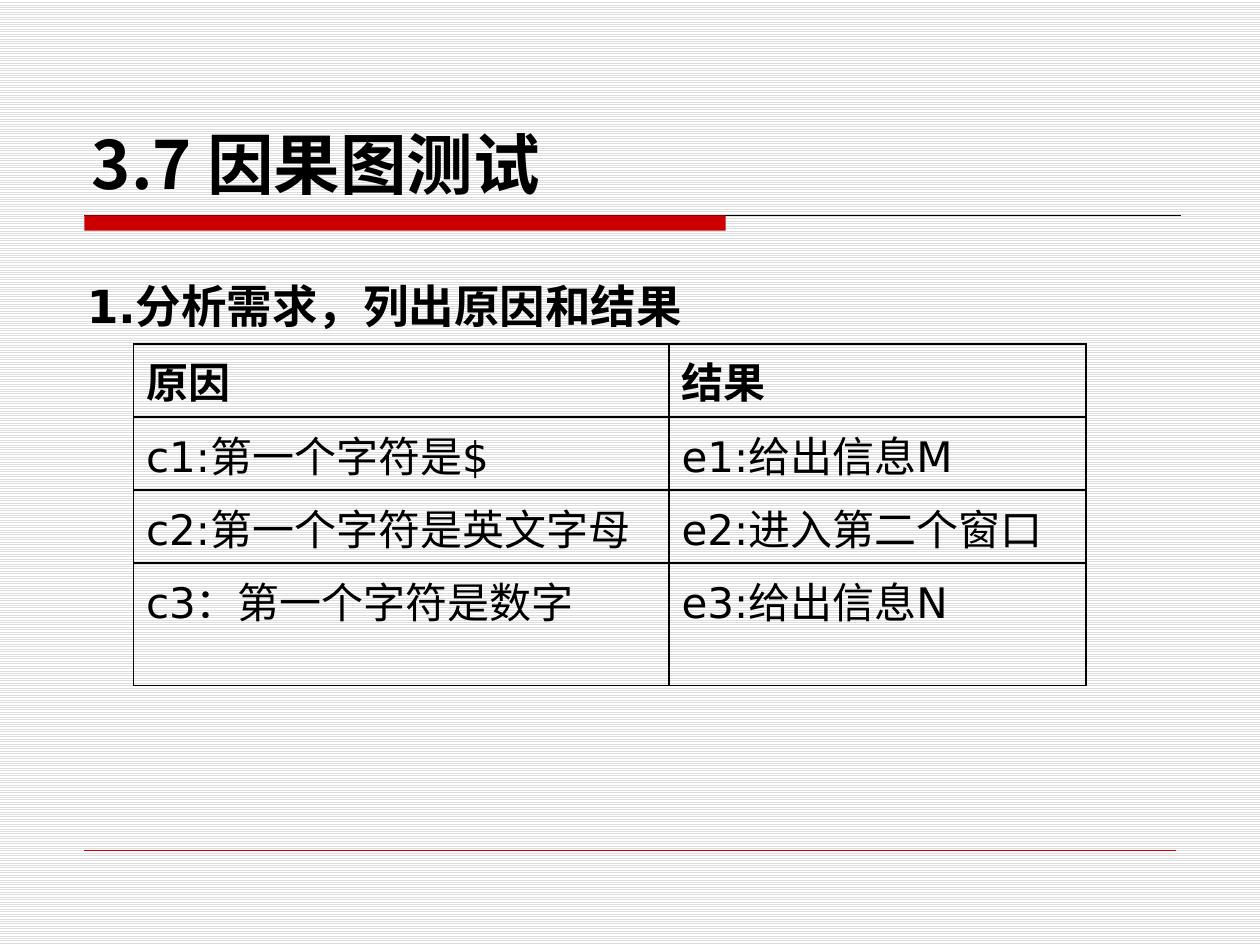
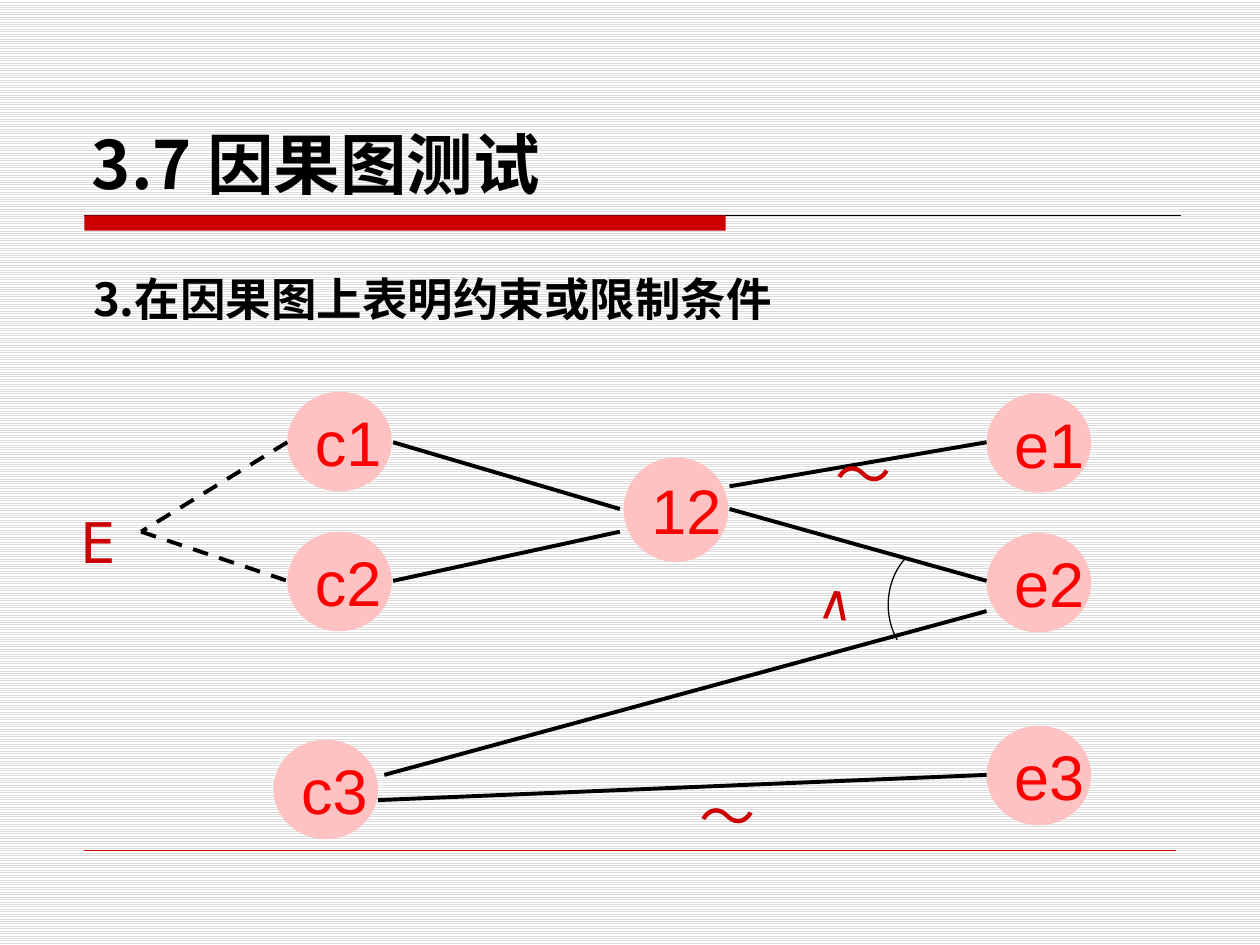
from lxml import etree
from pptx import Presentation
from pptx.dml.color import RGBColor
from pptx.enum import dml, shapes, text
from pptx.oxml import ns
from pptx.util import Inches, Pt

COLORS = {"red": "CC0000", "black": "000000", "white": "FFFFFF", "stripe": "DDDDDD",
          "node": "FFC2C2", "label": "FF0000"}
C = {name: RGBColor.from_string(value) for name, value in COLORS.items()}
SANS, CJK, ARIAL = "DejaVu Sans", "Noto Sans CJK SC", "Arial"


def write(tf, content, size, font=SANS, color="black", bold=False, anchor="TOP",
          align="LEFT", spacing=None, wrap=True):
    tf.word_wrap = wrap
    tf.vertical_anchor = getattr(text.MSO_ANCHOR, anchor)
    p = tf.paragraphs[0]
    p.alignment = getattr(text.PP_ALIGN, align)
    p.line_spacing = spacing
    r = p.add_run()
    r.text = content
    r.font.size, r.font.bold, r.font.name = Pt(size), bold, font
    r.font.color.rgb = C[color]
    etree.SubElement(r._r.rPr, ns.qn("a:ea"), typeface=CJK)


def add_line(s, x1, y1, x2, y2, color="black", width=2.25, dashed=False):
    sp = s.shapes.add_connector(shapes.MSO_CONNECTOR.STRAIGHT, Inches(x1), Inches(y1),
                                Inches(x2), Inches(y2))
    sp.line.color.rgb, sp.line.width = C[color], Pt(width)
    if dashed:
        sp.line.dash_style = dml.MSO_LINE.DASH
    etree.SubElement(sp._element.spPr, ns.qn("a:effectLst"))


prs = Presentation()
prs.slide_width, prs.slide_height = Inches(10), Inches(7.5)

# Shared frame: striped background, title, rule, heading, footer line
headings = [("1.分析需求，列出原因和结果", SANS, 0.59, 2.03),
            ("3.在因果图上表明约束或限制条件", CJK, 0.64, 1.97)]
for heading, font, left, top in headings:
    s = prs.slides.add_slide(prs.slide_layouts[6])
    fill = s.background.fill
    fill.patterned()
    fill.pattern = dml.MSO_PATTERN.LIGHT_HORIZONTAL
    fill.fore_color.rgb, fill.back_color.rgb = C["stripe"], C["white"]

    add_line(s, 0.67, 1.71, 9.37, 1.71, width=0.75)
    sp = s.shapes.add_shape(shapes.MSO_SHAPE.RECTANGLE, Inches(0.67), Inches(1.71),
                            Inches(5.09), Inches(0.12))
    sp.shadow.inherit = False
    sp.fill.solid()
    sp.fill.fore_color.rgb = C["red"]
    sp.line.fill.background()
    add_line(s, 0.67, 6.75, 9.33, 6.75, "red", 0.25)

    sp = s.shapes.add_textbox(Inches(left), Inches(top), Inches(8.62), Inches(5.4))
    write(sp.text_frame, heading, 26, font, bold=True, align="JUSTIFY", spacing=1.3)
    sp = s.shapes.add_textbox(Inches(0.63), Inches(0.33), Inches(8.75), Inches(1.33))
    write(sp.text_frame, "3.7 因果图测试", 38, CJK, bold=True, anchor="BOTTOM")

table_slide, graph_slide = prs.slides

# Slide 1: table of causes and effects
rows = [("原因", "结果"),
        ("c1:第一个字符是$", "e1:给出信息M"),
        ("c2:第一个字符是英文字母", "e2:进入第二个窗口"),
        ("c3：第一个字符是数字", "e3:给出信息N")]
table = table_slide.shapes.add_table(4, 2, Inches(1.06), Inches(2.73),
                                     Inches(7.56), Inches(2.71)).table
for column, width in zip(table.columns, (4.25, 3.31)):
    column.width = Inches(width)
for i, (row, height) in enumerate(zip(table.rows, (0.58, 0.58, 0.58, 0.97))):
    row.height = Inches(height)
    for cell, content in zip(row.cells, rows[i]):
        write(cell.text_frame, content, 24, bold=i == 0)
        tcPr = cell._tc.get_or_add_tcPr()
        for side in ("lnL", "lnR", "lnT", "lnB"):
            ln = etree.SubElement(tcPr, ns.qn(f"a:{side}"), w=str(Pt(1)))
            solid = etree.SubElement(ln, ns.qn("a:solidFill"))
            etree.SubElement(solid, ns.qn("a:srgbClr"), val=COLORS["black"])
        cell.fill.background()

# Slide 2: graph nodes
s = graph_slide
nodes = [("c1", 2.28, 3.11, 0.79), ("c2", 2.28, 4.22, 0.79), ("c3", 2.17, 5.87, 0.79),
         ("12", 4.95, 3.63, 0.83),
         ("e1", 7.83, 3.12, 0.79), ("e2", 7.83, 4.23, 0.79), ("e3", 7.83, 5.76, 0.79)]
for name, left, top, height in nodes:
    sp = s.shapes.add_shape(shapes.MSO_SHAPE.OVAL, Inches(left), Inches(top),
                            Inches(0.83), Inches(height))
    sp.shadow.inherit = False
    sp.fill.solid()
    sp.fill.fore_color.rgb = C["node"]
    sp.line.fill.background()
    write(sp.text_frame, name, 36, ARIAL, "label", anchor="MIDDLE", wrap=False)

# Relations between nodes
for ends in [(3.12, 3.51, 4.92, 4.04), (3.12, 4.61, 4.92, 4.22), (7.83, 3.51, 5.79, 3.86),
             (7.83, 4.61, 5.79, 4.04), (3.05, 6.15, 7.83, 4.85), (3, 6.35, 7.83, 6.15)]:
    add_line(s, *ends)

# Exclusive constraint on c1 and c2
add_line(s, 2.28, 3.51, 1.12, 4.22, dashed=True)
add_line(s, 1.12, 4.22, 2.28, 4.61, dashed=True)

# Arc joining the two relations into e2
arc = s.shapes.add_shape(shapes.MSO_SHAPE.ARC, Inches(7.05), Inches(4.3), Inches(0.84), Inches(1))
arc.adjustments[0], arc.adjustments[1] = 84.85, 140.21
arc.shadow.inherit = False
arc.fill.background()
arc.line.color.rgb, arc.line.width = C["black"], Pt(0.75)

# Logic symbols
for symbol, left, top, width, height, size, angle in [
        ("E", 0.54, 3.98, 1, 0.64, 32, 0), ("～", 5.45, 6.15, 0.92, 0.63, 32, 0),
        ("～", 6.53, 3.44, 0.92, 0.63, 32, 0), ("∨", 6.29, 4.56, 0.58, 0.57, 28, 185.7)]:
    sp = s.shapes.add_textbox(Inches(left), Inches(top), Inches(width), Inches(height))
    sp.rotation = angle
    write(sp.text_frame, symbol, size, color="red")

prs.save("out.pptx")
